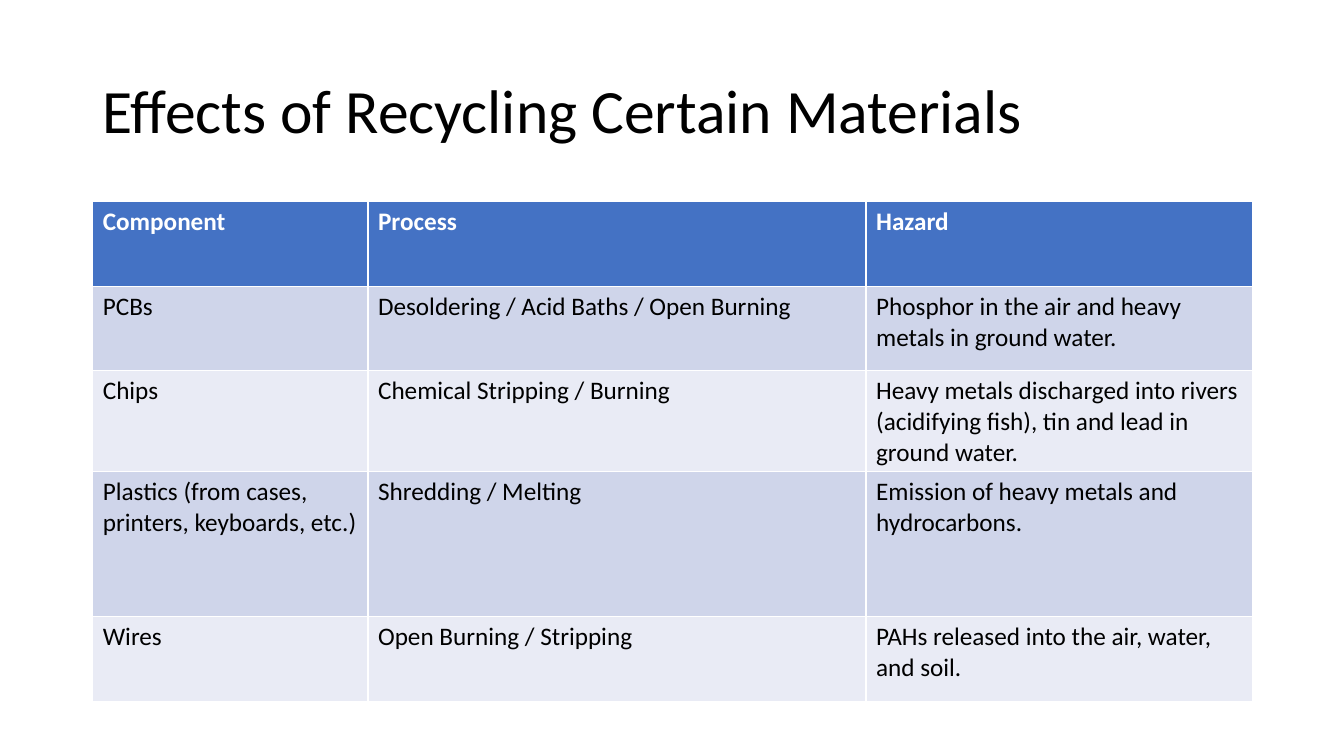
"""Build a slide with a table of recycling hazards."""
from pptx import Presentation
from pptx.dml.color import RGBColor as RGB
from pptx.enum.text import MSO_ANCHOR as Anchor
from pptx.util import Inches, Pt

TITLE = "Effects of Recycling Certain Materials"
ROWS = [
    ("Component", "Process", "Hazard"),
    ("PCBs", "Desoldering / Acid Baths / Open Burning",
     "Phosphor in the air and heavy metals in ground water."),
    ("Chips", "Chemical Stripping / Burning",
     "Heavy metals discharged into rivers (acidifying fish), "
     "tin and lead in ground water."),
    ("Plastics (from cases, printers, keyboards, etc.)",
     "Shredding / Melting",
     "Emission of heavy metals and hydrocarbons."),
    ("Wires", "Open Burning / Stripping",
     "PAHs released into the air, water, and soil."),
]
WIDTHS = (2.73, 4.94, 3.83)
HEIGHTS = (0.84, 0.84, 0.84, 1.44, 0.84)
LEFT, TOP = 0.92, 2
FONT = "Calibri"
BLACK = RGB(0, 0, 0)
WHITE = RGB(255, 255, 255)
BLUE = RGB(0x44, 0x72, 0xC4)
BANDS = (RGB(0xE9, 0xEB, 0xF5), RGB(0xCF, 0xD5, 0xEA))


def style(frame, size, color, bold=False):
    for run in frame.paragraphs[0].runs:
        font = run.font
        font.name, font.size, font.bold = FONT, Pt(size), bold
        font.color.rgb = color


deck = Presentation()
deck.slide_width, deck.slide_height = Inches(13.33), Inches(7.5)
slide = deck.slides.add_slide(deck.slide_layouts[6])
wide = sum(WIDTHS)

title = slide.shapes.add_textbox(
    Inches(LEFT), Inches(0.4), Inches(wide), Inches(1.45)).text_frame
title.word_wrap = True
title.vertical_anchor = Anchor.MIDDLE
title.text = TITLE
title.paragraphs[0].line_spacing = 0.9
style(title, 44, BLACK)

table = slide.shapes.add_table(
    len(ROWS), len(WIDTHS), Inches(LEFT), Inches(TOP),
    Inches(wide), Inches(sum(HEIGHTS))).table
for col, width in zip(table.columns, WIDTHS):
    col.width = Inches(width)
for r, (words, height) in enumerate(zip(ROWS, HEIGHTS)):
    table.rows[r].height = Inches(height)
    head = r == 0
    for c, text in enumerate(words):
        cell = table.cell(r, c)
        cell.text_frame.text = text
        cell.fill.solid()
        cell.fill.fore_color.rgb = BLUE if head else BANDS[r % 2]
        style(cell.text_frame, 18, WHITE if head else BLACK, head)

deck.save("out.pptx")
